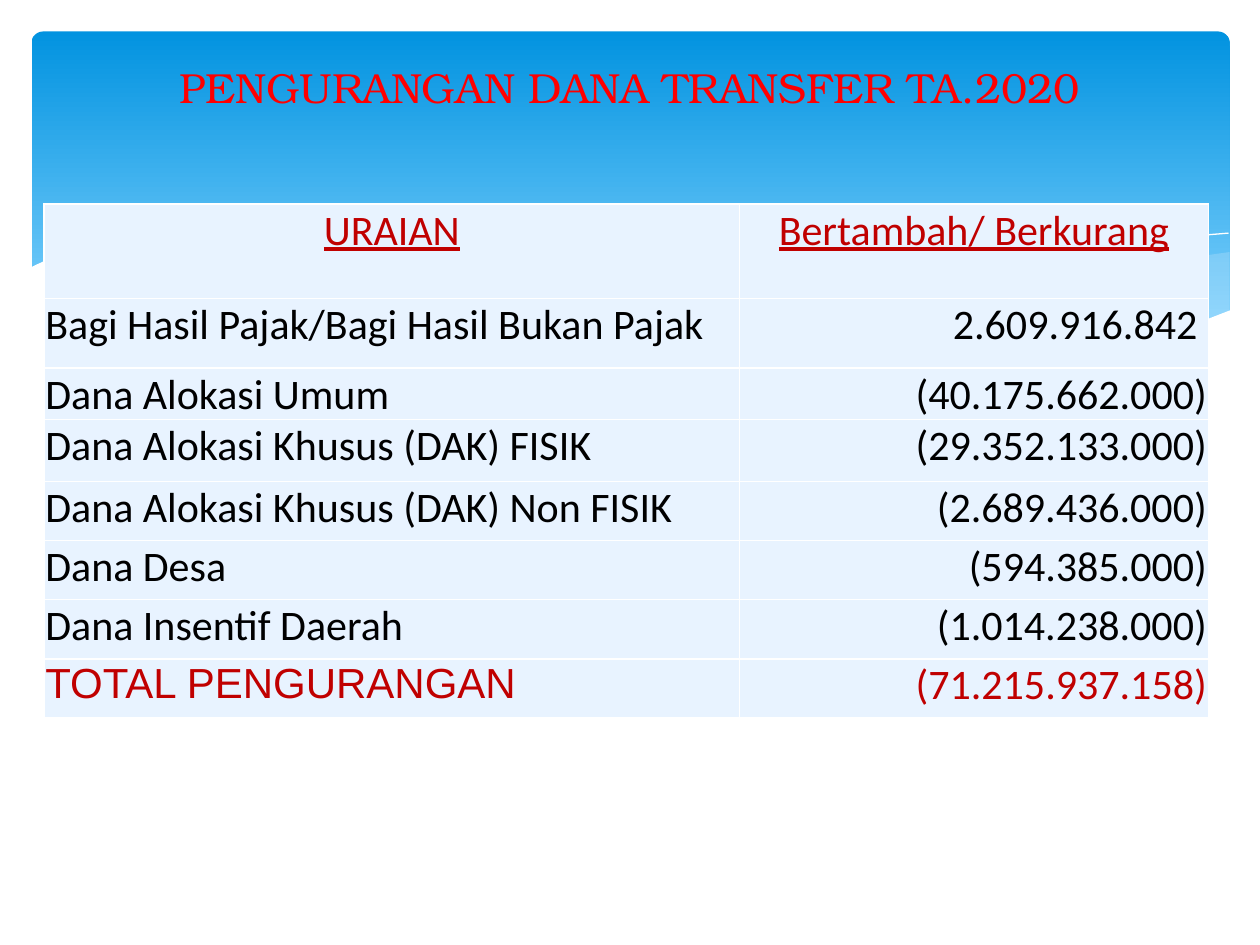
from dataclasses import dataclass
from typing import Optional

from lxml.etree import SubElement
from pptx import Presentation
from pptx.dml.color import RGBColor
from pptx.enum.shapes import MSO_SHAPE
from pptx.enum.text import MSO_ANCHOR, PP_ALIGN
from pptx.oxml.ns import qn
from pptx.util import Inches, Pt


@dataclass(frozen=True)
class Theme:
    sky_top: str = "0293E0"
    sky_bottom: str = "83D3FE"
    mist: str = "C6E7FC"
    white: str = "FFFFFF"
    cell: str = "E8F3FF"
    title: str = "FF0000"
    accent: str = "C00000"
    ink: str = "000000"
    title_font: str = "TeX Gyre Bonum"
    body_font: str = "Calibri"
    total_font: str = "Arial"
    size: int = 24


@dataclass(frozen=True)
class Wave:
    points: tuple
    fill: Optional[str] = None
    opacity: int = 100


@dataclass(frozen=True)
class Entry:
    label: str
    amount: str
    height: float
    color: str
    label_font: str
    label_align: PP_ALIGN = PP_ALIGN.LEFT
    amount_align: PP_ALIGN = PP_ALIGN.RIGHT
    underline: bool = False


THEME = Theme()

WAVES = (
    Wave(((9.76, 2), (9.48, 2.04), (9.21, 2.1), (8.91, 2.16), (8.61, 2.23),
          (8.05, 2.37), (7.53, 2.48), (7.06, 2.57), (6.61, 2.65), (6.91, 2.69),
          (7.19, 2.72), (7.45, 2.75), (7.69, 2.77), (8.03, 2.78), (8.35, 2.77),
          (8.63, 2.75), (8.89, 2.72), (9.13, 2.67), (9.35, 2.62), (9.49, 2.57),
          (9.76, 2.47)), THEME.mist, 29),
    Wave(((8.93, 2.73), (8.66, 2.69), (8.07, 2.6), (7.41, 2.47), (6.68, 2.31),
          (6.29, 2.22), (5.98, 2.14), (5.69, 2.08), (5.41, 2.03), (5.14, 1.98),
          (4.89, 1.94), (4.42, 1.89), (3.99, 1.86), (3.61, 1.85), (3.28, 1.87),
          (2.86, 1.91), (3.23, 1.96), (3.62, 2.03), (4.04, 2.11), (4.49, 2.22),
          (4.91, 2.32), (5.3, 2.4), (5.66, 2.48), (6.01, 2.55), (6.34, 2.61),
          (6.65, 2.66), (6.95, 2.7), (7.22, 2.74), (7.48, 2.76), (7.85, 2.78),
          (8.28, 2.78), (8.57, 2.77)), THEME.mist, 40),
    Wave(((3.09, 1.95), (3.28, 1.92), (3.53, 1.89), (3.87, 1.87), (4.33, 1.87),
          (4.69, 1.89), (5.1, 1.92), (5.56, 1.97), (6.08, 2.04), (6.65, 2.13),
          (7.27, 2.26), (7.95, 2.41), (8.69, 2.61), (9.07, 2.72))),
    Wave(((6.13, 2.57), (6.53, 2.46), (6.95, 2.35), (7.48, 2.23), (8.06, 2.1),
          (8.66, 1.99), (8.95, 1.94), (9.24, 1.9), (9.51, 1.87), (9.75, 1.85))),
    Wave(((9.77, 2.46), (9.59, 2.53), (9.4, 2.59), (9.2, 2.65), (8.99, 2.69),
          (8.75, 2.73), (8.5, 2.75), (8.09, 2.77), (7.78, 2.76), (7.44, 2.74),
          (7.08, 2.7), (6.68, 2.65), (6.26, 2.58), (5.79, 2.5), (5.29, 2.39),
          (4.75, 2.27), (4.18, 2.13), (3.65, 2.02), (3.16, 1.94), (2.71, 1.88),
          (2.3, 1.85), (1.93, 1.84), (1.61, 1.84), (1.32, 1.86), (1.06, 1.89),
          (0.85, 1.93), (0.67, 1.97), (0.52, 2.01), (0.4, 2.05), (0.29, 2.1),
          (0.23, 2.13), (0.23, 3.29), (9.77, 3.29)), THEME.white),
)


def fund(label: str, amount: str, height: float = 0.47) -> Entry:
    return Entry(label, amount, height, THEME.ink, THEME.body_font)


ENTRIES = (
    Entry("URAIAN", "Bertambah/ Berkurang", 0.75, THEME.accent, THEME.body_font,
          PP_ALIGN.CENTER, PP_ALIGN.CENTER, True),
    fund("Bagi Hasil Pajak/Bagi Hasil Bukan Pajak", "2.609.916.842 ", 0.55),
    fund("Dana Alokasi Umum", "(40.175.662.000)", 0.35),
    fund("Dana Alokasi Khusus (DAK) FISIK", "(29.352.133.000)", 0.49),
    fund("Dana Alokasi Khusus (DAK) Non FISIK", "(2.689.436.000)"),
    fund("Dana Desa", "(594.385.000)"),
    fund("Dana Insentif Daerah", "(1.014.238.000)"),
    Entry("TOTAL PENGURANGAN", "(71.215.937.158)", 0.47, THEME.accent, THEME.total_font),
)


def rgb(color: str) -> RGBColor:
    return RGBColor.from_string(color)


def write(frame, words: str, align: PP_ALIGN, font: str, color: str,
          underline: bool = False) -> None:
    paragraph = frame.paragraphs[0]
    paragraph.alignment = align
    run = paragraph.add_run()
    run.text = words
    run.font.name = font
    run.font.size = Pt(THEME.size)
    run.font.bold = False
    run.font.underline = underline
    run.font.color.rgb = rgb(color)


def draw_sky(slide) -> None:
    sky = slide.shapes.add_shape(MSO_SHAPE.ROUNDED_RECTANGLE, Inches(0.25),
                                 Inches(0.25), Inches(9.51), Inches(2.7))
    sky.adjustments[0] = 0.034
    sky.shadow.inherit = False
    sky.line.fill.background()
    sky.fill.gradient()
    sky.fill.gradient_angle = 270
    stops = ((0, THEME.sky_top), (0.9, THEME.sky_bottom))
    for stop, (position, color) in zip(sky.fill.gradient_stops, stops):
        stop.position = position
        stop.color.rgb = rgb(color)


def draw_wave(slide, wave: Wave) -> None:
    start, *rest = [(Inches(x), Inches(y)) for x, y in wave.points]
    builder = slide.shapes.build_freeform(*start, scale=1.0)
    builder.add_line_segments(rest, close=wave.fill is not None)
    outline = builder.convert_to_shape()
    outline.shadow.inherit = False
    if wave.fill is None:
        outline.fill.background()
        outline.line.color.rgb = rgb(THEME.white)
        outline.line.width = Pt(0)
        return
    outline.line.fill.background()
    outline.fill.solid()
    outline.fill.fore_color.rgb = rgb(wave.fill)
    if wave.opacity < 100:
        tint = next(outline.fill._xPr.iter(qn("a:srgbClr")))
        SubElement(tint, qn("a:alpha"), val=str(wave.opacity * 1000))


def draw_title(slide) -> None:
    heading = slide.shapes.add_textbox(Inches(0.35), Inches(0.29), Inches(9.29), Inches(0.79))
    frame = heading.text_frame
    frame.word_wrap = True
    frame.vertical_anchor = MSO_ANCHOR.MIDDLE
    write(frame, "PENGURANGAN DANA TRANSFER TA.2020", PP_ALIGN.CENTER,
          THEME.title_font, THEME.title)


def style_cell(cell) -> None:
    cell.margin_left = cell.margin_right = cell.margin_top = Inches(0.01)
    cell.margin_bottom = 0
    properties = cell._tc.get_or_add_tcPr()
    for side in ("a:lnL", "a:lnR", "a:lnT", "a:lnB"):
        border = SubElement(properties, qn(side), w=str(Pt(1)))
        SubElement(SubElement(border, qn("a:solidFill")), qn("a:srgbClr"), val=THEME.white)
    cell.fill.solid()
    cell.fill.fore_color.rgb = rgb(THEME.cell)


def draw_funds(slide, entries: tuple) -> None:
    height = sum(entry.height for entry in entries)
    funds = slide.shapes.add_table(len(entries), 2, Inches(0.35), Inches(1.62),
                                   Inches(9.24), Inches(height)).table
    funds.first_row = funds.horz_banding = False
    for column, width in zip(funds.columns, (5.52, 3.72)):
        column.width = Inches(width)
    for row, entry in zip(funds.rows, entries):
        row.height = Inches(entry.height)
        label, amount = row.cells
        for cell in (label, amount):
            style_cell(cell)
        write(label.text_frame, entry.label, entry.label_align, entry.label_font,
              entry.color, entry.underline)
        write(amount.text_frame, entry.amount, entry.amount_align, THEME.body_font,
              entry.color, entry.underline)


def main() -> None:
    deck = Presentation()
    deck.slide_width, deck.slide_height = Inches(10), Inches(7.5)
    slide = deck.slides.add_slide(deck.slide_layouts[6])
    draw_sky(slide)
    for wave in WAVES:
        draw_wave(slide, wave)
    draw_title(slide)
    draw_funds(slide, ENTRIES)
    deck.save("out.pptx")


if __name__ == "__main__":
    main()
